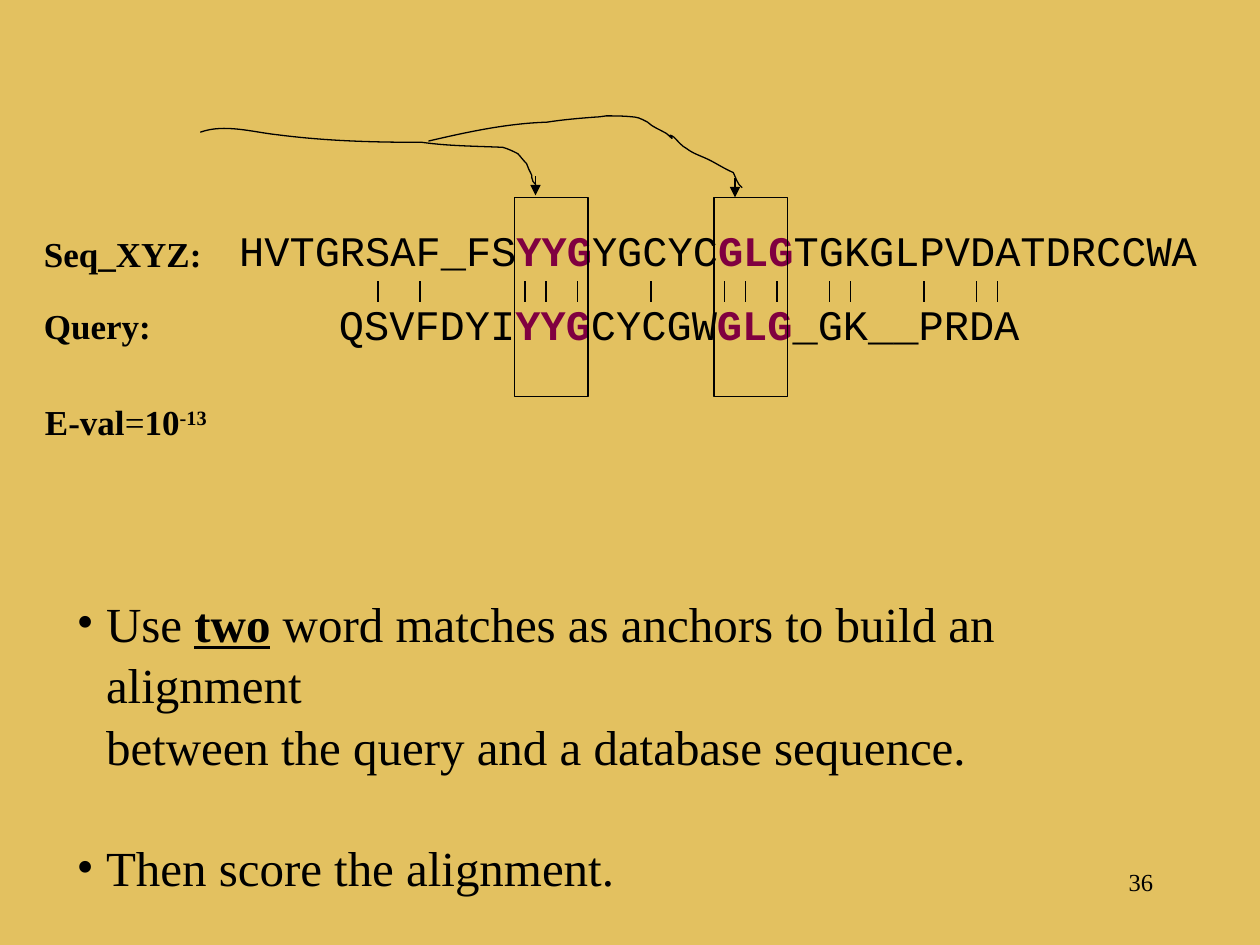
"""Build the slide on anchoring a sequence alignment with two word matches."""
from copy import deepcopy
from dataclasses import dataclass
from typing import NamedTuple

from lxml.etree import SubElement
from pptx import Presentation
from pptx.dml.color import RGBColor
from pptx.enum.shapes import MSO_CONNECTOR, MSO_SHAPE
from pptx.enum.text import MSO_ANCHOR, MSO_AUTO_SIZE, PP_ALIGN
from pptx.oxml.ns import qn
from pptx.util import Inches, Pt

WIDTH, HEIGHT = Inches(10), Inches(7.5)
COLUMNS = 120
CELL = WIDTH / COLUMNS
CURVE_UNIT = WIDTH / 1000


@dataclass(frozen=True)
class Theme:
    background: RGBColor = RGBColor(0xE3, 0xC1, 0x60)
    ink: RGBColor = RGBColor(0, 0, 0)
    match: RGBColor = RGBColor(0x80, 0x00, 0x40)
    serif: str = "Times New Roman"
    mono: str = "Courier New"
    body: int = 28
    sequence: int = 24
    label: int = 20
    number: int = 14
    outline: float = 0.75
    tick: float = 1


class Area(NamedTuple):
    column: float
    row: float
    columns: float
    rows: float


class Sequence(NamedTuple):
    area: Area
    residues: tuple[str, ...]


class Label(NamedTuple):
    area: Area
    words: tuple[tuple[str, dict], ...]


THEME = Theme()
SEQUENCES = (
    Sequence(Area(21.6, 20.8, 93.6, 6),
             ("HVTGRSAF_FS", "YYG", "YGCYC", "GLG", "TGKGLPVDATDRCCWA")),
    Sequence(Area(31.1, 27.8, 69.6, 6),
             ("QSVFDYI", "YYG", "CYCGW", "GLG", "_GK__PRDA")),
)
LABELS = (
    Label(Area(3, 21.6, 17.8, 5.3), (("Seq_XYZ:", {}),)),
    Label(Area(3, 28.4, 12.6, 5.3), (("Query:", {}),)),
    Label(Area(3.1, 37.6, 17.8, 5.3),
          (("E-val", {}), ("=", {"bold": False}), ("10", {}), ("-13", {"raised": True}))),
)
ANCHOR_COLUMNS = (49, 68)
ANCHOR_TOP = 18.8
TICK_COLUMNS = (36, 40, 50, 52, 55, 62, 69, 71, 74, 79, 81, 88, 93, 95)
TICK_ROWS = (26.8, 28.8)
ARROWS = ((51, 16.8, 18.6), (70, 17, 18.8))
CURVES = (
    ((159, 105), (178, 98), (201, 105), (220, 107), (259, 112), (296, 113), (335, 113),
     (356, 116), (378, 116), (399, 117), (403, 118), (407, 120), (411, 122),
     (413, 124), (415, 127), (418, 130), (419, 133), (420, 135), (422, 139),
     (422, 140), (422, 142), (423, 144), (426, 148), (425, 145), (425, 147)),
    ((340, 112), (370, 105), (402, 98), (434, 97), (447, 95), (459, 94), (472, 93),
     (475, 93), (481, 92), (481, 92), (488, 92), (496, 92), (504, 93),
     (507, 93), (514, 97), (514, 97), (518, 101), (524, 103), (529, 106),
     (540, 116), (526, 103), (535, 109), (538, 112), (541, 116), (545, 118),
     (550, 122), (557, 124), (563, 127), (569, 130), (575, 134), (582, 137),
     (584, 141), (585, 146), (589, 149)),
)


def cells(count: float) -> int:
    """Convert grid cells to a length."""
    return round(count * CELL)


def write(paragraph, text: str, *, size: float, font: str = THEME.serif,
          color: RGBColor = THEME.ink, bold: bool = False,
          underline: bool = False, raised: bool = False):
    """Add one formatted run to a paragraph."""
    run = paragraph.add_run()
    run.text = text
    run.font.size, run.font.name = Pt(size), font
    run.font.bold, run.font.underline = bold, underline
    run.font.color.rgb = color
    if raised:
        run.font._element.set("baseline", "30000")
    return run


def add_box(slide, area: Area, wrap: bool = False):
    """Add a text box and return its first paragraph."""
    frame = slide.shapes.add_textbox(*map(cells, area)).text_frame
    frame.word_wrap = wrap
    return frame.paragraphs[0]


def draw_sequence(slide, sequence: Sequence) -> None:
    """Write a sequence whose odd parts are the matched words."""
    paragraph = add_box(slide, sequence.area)
    for index, part in enumerate(sequence.residues):
        matched = index % 2 == 1
        write(paragraph, part, size=THEME.sequence, font=THEME.mono, bold=matched,
              color=THEME.match if matched else THEME.ink)


def draw_label(slide, label: Label) -> None:
    """Write a bold row label."""
    paragraph = add_box(slide, label.area)
    for text, style in label.words:
        write(paragraph, text, **{"size": THEME.label, "bold": True, **style})


def outline(shape) -> None:
    """Leave a shape with a thin outline only."""
    shape.shadow.inherit = False
    shape.fill.background()
    shape.line.color.rgb = THEME.ink
    shape.line.width = Pt(THEME.outline)


def draw_anchor(slide, column: float) -> None:
    """Frame a pair of matched words."""
    area = Area(column, ANCHOR_TOP, 7, 19)
    outline(slide.shapes.add_shape(MSO_SHAPE.RECTANGLE, *map(cells, area)))


def draw_vertical(slide, column: float, top: float, bottom: float,
                  weight: float, arrow: bool = False) -> None:
    """Draw a vertical line, with an arrowhead at its foot if asked."""
    line = slide.shapes.add_connector(
        MSO_CONNECTOR.STRAIGHT, *map(cells, (column, top, column, bottom)))
    line.line.color.rgb = THEME.ink
    line.line.width = Pt(weight)
    if arrow:
        SubElement(line.line._get_or_add_ln(), qn("a:tailEnd"), type="triangle")
    SubElement(line._element.spPr, qn("a:effectLst"))


def draw_curve(slide, points: tuple[tuple[int, int], ...]) -> None:
    """Draw a chain of cubic curves through every third point."""
    builder = slide.shapes.build_freeform(*points[0], scale=CURVE_UNIT)
    builder.add_line_segments(points[1:], close=False)
    curve = builder.convert_to_shape()
    outline(curve)
    outline_points = next(curve._element.iter(qn("a:path")))
    segments = outline_points.findall(qn("a:lnTo"))
    for start in range(0, len(segments), 3):
        bezier = SubElement(outline_points, qn("a:cubicBezTo"))
        for segment in segments[start:start + 3]:
            bezier.append(segment[0])
            outline_points.remove(segment)


def format_bullet(paragraph) -> None:
    """Give a paragraph a hanging round bullet."""
    properties = paragraph._p.get_or_add_pPr()
    properties.set("marL", str(cells(2.8)))
    properties.set("indent", str(-cells(2.8)))
    SubElement(properties, qn("a:buFont"), typeface=THEME.serif)
    SubElement(properties, qn("a:buChar"), char="•")
    paragraph.line_spacing = 1.05
    paragraph.space_before = Pt(0)


def fill_body(body) -> None:
    """Place the list and write its two points."""
    body.left, body.top, body.width, body.height = map(cells, Area(6.1, 55.6, 107, 29))
    frame = body.text_frame
    frame.auto_size, frame.word_wrap = MSO_AUTO_SIZE.NONE, True
    frame.vertical_anchor = MSO_ANCHOR.TOP
    anchors, score = frame.paragraphs[0], frame.add_paragraph()
    for paragraph in (anchors, score):
        format_bullet(paragraph)
    write(anchors, "Use ", size=THEME.body)
    write(anchors, "two", size=THEME.body, bold=True, underline=True)
    lead = write(anchors, " word matches as anchors to build an alignment", size=THEME.body)
    anchors.add_line_break()
    anchors._p[-1].append(deepcopy(lead.font._element))
    write(anchors, "between the query and a database sequence.", size=THEME.body)
    score.space_before = Pt(33.8)
    write(score, "Then score the alignment.", size=THEME.body)


def main() -> None:
    """Assemble and save the slide."""
    deck = Presentation()
    deck.slide_width, deck.slide_height = WIDTH, HEIGHT
    slide = deck.slides.add_slide(deck.slide_layouts[1])
    slide.background.fill.solid()
    slide.background.fill.fore_color.rgb = THEME.background
    title, body = slide.placeholders
    title._element.getparent().remove(title._element)
    fill_body(body)
    number = add_box(slide, Area(86, 82, 25, 6), wrap=True)
    number.alignment = PP_ALIGN.RIGHT
    write(number, "36", size=THEME.number)
    for sequence in SEQUENCES:
        draw_sequence(slide, sequence)
    for label in LABELS:
        draw_label(slide, label)
    for column in ANCHOR_COLUMNS:
        draw_anchor(slide, column)
    for column in TICK_COLUMNS:
        draw_vertical(slide, column, *TICK_ROWS, THEME.tick)
    for points in CURVES:
        draw_curve(slide, points)
    for arrow in ARROWS:
        draw_vertical(slide, *arrow, THEME.outline, arrow=True)
    deck.save("out.pptx")


if __name__ == "__main__":
    main()
